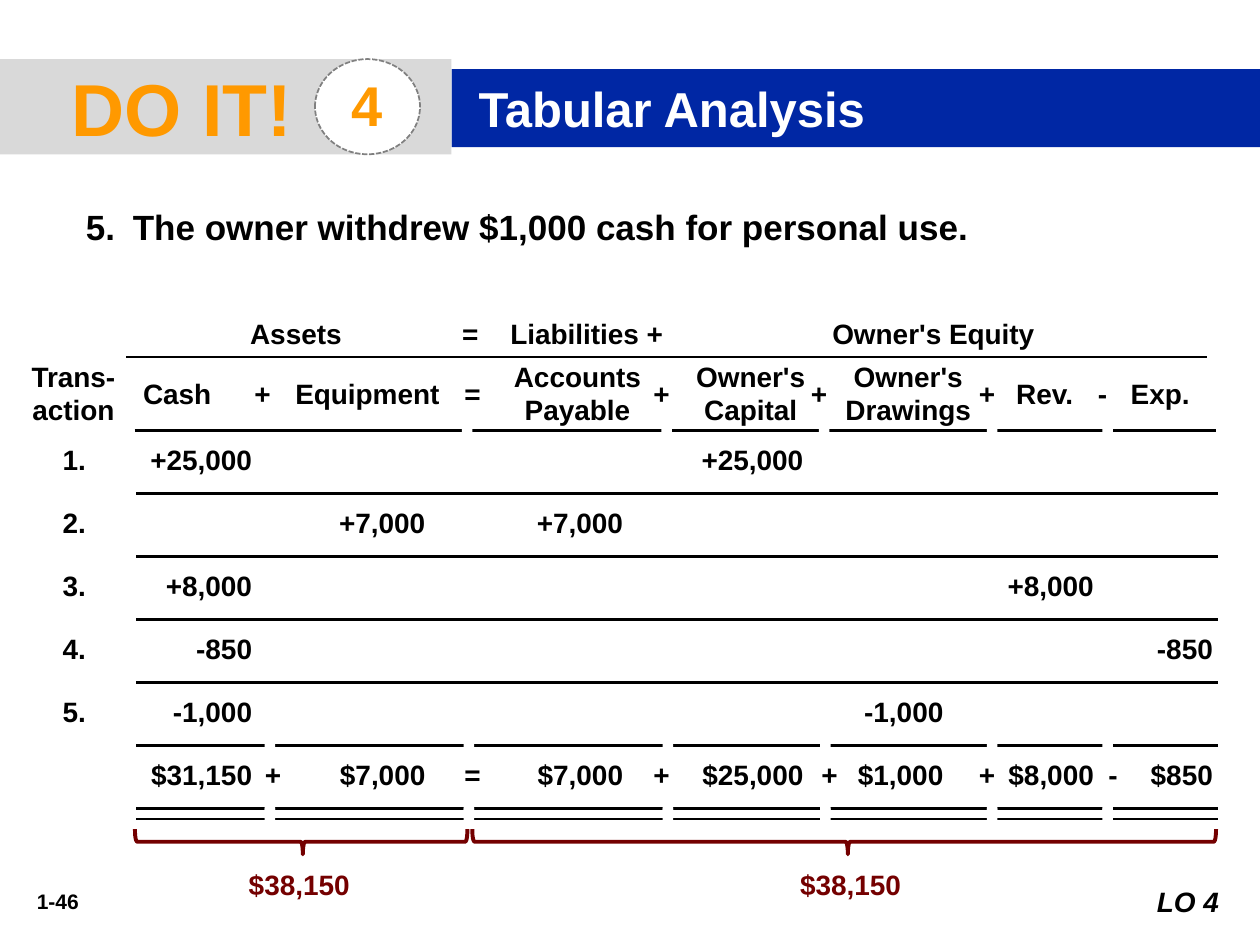
from dataclasses import dataclass

from lxml.etree import SubElement
from pptx import Presentation
from pptx.dml.color import RGBColor
from pptx.enum.dml import MSO_LINE
from pptx.enum.shapes import MSO_CONNECTOR, MSO_SHAPE
from pptx.enum.text import MSO_ANCHOR, MSO_AUTO_SIZE, PP_ALIGN
from pptx.oxml.ns import qn
from pptx.util import Pt

BLACK = RGBColor(0x00, 0x00, 0x00)
WHITE = RGBColor(0xFF, 0xFF, 0xFF)
GREY = RGBColor(0xD9, 0xD9, 0xD9)
DASH_GREY = RGBColor(0x80, 0x80, 0x80)
ORANGE = RGBColor(0xFF, 0x99, 0x00)
BLUE = RGBColor(0x00, 0x27, 0xA4)
MAROON = RGBColor(0x74, 0x00, 0x00)

INSETS = (7.2, 3.6, 7.2, 3.6)
HEAD_TOP, TOTAL_TOP, BAND_H = 204, 420, 41
FIRST_ROW, FIRST_RULE, ROW_STEP = 252.7, 282, 36
COLUMN_ENDS = [(x, "r") for x in (18, 113, 212, 325, 428, 508, 594, 662)]
GROUP_STOPS = [(90, "ctr"), (185, "l"), (212.5, "l"), (454.3, "ctr")]
HEAD_GAPS = (264, 378, 468, 564, 630)
TOTAL_GAPS = (151.2, 265, 378.7, 468.7, 564, 630)
SIGNS = "+=+++-"
HEAD_SIGNS = (144, 264, 372, 462, 558, 624)
TOTAL_SIGNS = (150, 264, 372, 468, 558, 630)


@dataclass
class Heading:
    text: str
    left: float
    width: float


@dataclass
class Rule:
    y: float
    left: float = 78
    right: float = 696
    gaps: tuple = ()


@dataclass
class Brace:
    left: float
    top: float
    length: float


HEADINGS = [
    Heading("Trans-\naction", 6, 72),
    Heading("Cash", 72, 58.5),
    Heading("Equipment", 156, 108),
    Heading("Accounts\nPayable", 276, 108),
    Heading("Owner's Capital", 378, 102),
    Heading("Owner's Drawings", 474, 90),
    Heading("Rev.", 564, 66),
    Heading("Exp.", 630, 66),
]
# Label, cash, equipment, payable, capital, drawings, revenue, expense
ROWS = [
    ("1.", "+25,000", "", "", "+25,000"),
    ("2.", "", "+7,000", "+7,000"),
    ("3.", "+8,000", "", "", "", "", "+8,000"),
    ("4.", "-850", "", "", "", "", "", "-850"),
    ("5.", "-1,000", "", "", "", "-1,000"),
    ("", "$31,150", "$7,000", "$7,000", "$25,000", "$1,000", "$8,000", "$850"),
]
RULES = [
    Rule(HEAD_TOP, 72, 690),
    Rule(246, 77, 695, HEAD_GAPS),
    *[Rule(FIRST_RULE + ROW_STEP * i) for i in range(4)],
    *[Rule(y, gaps=TOTAL_GAPS) for y in (426, 462, 468)],
]
BRACES = [Brace(164.9, 386, 190), Brace(475.2, 268.5, 425)]


def write(tf, text: str, *, size=16, color=BLACK, italic=False,
          align=PP_ALIGN.LEFT, anchor=MSO_ANCHOR.TOP, insets=INSETS,
          margin=0, indent=0, spacing=None, number=None, tabs=()) -> None:
    tf.word_wrap = True
    tf.auto_size = MSO_AUTO_SIZE.NONE
    tf.vertical_anchor = anchor
    (tf.margin_left, tf.margin_top,
     tf.margin_right, tf.margin_bottom) = (Pt(v) for v in insets)
    for i, line in enumerate(text.split("\n")):
        p = tf.add_paragraph() if i else tf.paragraphs[0]
        p.alignment = align
        pPr = p._p.get_or_add_pPr()
        if margin:
            pPr.set("marL", str(Pt(margin)))
            pPr.set("indent", str(Pt(indent)))
        if number:
            SubElement(pPr, qn("a:buFont"), typeface="+mj-lt")
            SubElement(pPr, qn("a:buAutoNum"), type="arabicPeriod", startAt=str(number))
        if tabs:
            stops = SubElement(pPr, qn("a:tabLst"))
            for pos, kind in tabs:
                SubElement(stops, qn("a:tab"), pos=str(Pt(pos)), algn=kind)
        if spacing:
            p.line_spacing = spacing
        r = p.add_run()
        r.text = line
        r.font.name = "Arial"
        r.font.size = Pt(size)
        r.font.bold = True
        r.font.italic = italic
        r.font.color.rgb = color


def add_text(s, left: float, top: float, width: float, height: float, text: str, **fmt):
    sp = s.shapes.add_textbox(Pt(left), Pt(top), Pt(width), Pt(height))
    write(sp.text_frame, text, **fmt)


def add_centered(s, left: float, top: float, width: float, text: str, **fmt):
    add_text(s, left, top, width, BAND_H, text, align=PP_ALIGN.CENTER,
             anchor=MSO_ANCHOR.MIDDLE, **fmt)


def add_shape(s, kind, left: float, top: float, width: float, height: float, fill=None):
    sp = s.shapes.add_shape(kind, Pt(left), Pt(top), Pt(width), Pt(height))
    sp.shadow.inherit = False
    sp.line.fill.background()
    if fill is None:
        sp.fill.background()
    else:
        sp.fill.solid()
        sp.fill.fore_color.rgb = fill
    return sp


def add_rule(s, rule: Rule) -> None:
    """Draw a horizontal rule and break it between columns."""
    c = s.shapes.add_connector(MSO_CONNECTOR.STRAIGHT, Pt(rule.left), Pt(rule.y),
                               Pt(rule.right), Pt(rule.y))
    c.line.color.rgb = BLACK
    c.line.width = Pt(1.5)
    SubElement(c._element.spPr, qn("a:effectLst"))
    for x in rule.gaps:
        add_shape(s, MSO_SHAPE.RECTANGLE, x, rule.y - 6, 6, 12, WHITE)


def add_brace(s, brace: Brace) -> None:
    sp = add_shape(s, MSO_SHAPE.LEFT_BRACE, brace.left, brace.top, 14.4, brace.length)
    sp.rotation = 270
    sp.adjustments[0], sp.adjustments[1] = 0.083, 0.505
    sp.line.color.rgb = MAROON
    sp.line.width = Pt(2.25)


def add_banner(s) -> None:
    sp = add_shape(s, MSO_SHAPE.RECTANGLE, 0, 33.8, 258, 54.4, GREY)
    write(sp.text_frame, "DO IT!", size=42, color=ORANGE, margin=41,
          anchor=MSO_ANCHOR.MIDDLE, insets=(0, 0, 7.2, 0))
    sp = add_shape(s, MSO_SHAPE.OVAL, 180, 33.8, 60, 54.4, WHITE)
    sp.line.color.rgb = DASH_GREY
    sp.line.width = Pt(1)
    sp.line.dash_style = MSO_LINE.SQUARE_DOT
    write(sp.text_frame, "4", size=32, color=ORANGE, align=PP_ALIGN.CENTER,
          anchor=MSO_ANCHOR.MIDDLE, insets=(7.2, 0, 7.2, 3.6))
    t = s.shapes.title
    t.left, t.top, t.width, t.height = Pt(258), Pt(39.5), Pt(462), Pt(44.6)
    t.fill.solid()
    t.fill.fore_color.rgb = BLUE
    write(t.text_frame, "Tabular Analysis", size=28, color=WHITE, margin=9,
          anchor=MSO_ANCHOR.MIDDLE, insets=(6.5, 3.6, 6.5, 3.6))


def main() -> None:
    prs = Presentation()
    prs.slide_width, prs.slide_height = Pt(720), Pt(540)
    s = prs.slides.add_slide(prs.slide_layouts[5])
    add_banner(s)
    add_text(s, 42, 108, 661, 37.5, "The owner withdrew $1,000 cash for personal use.",
             size=20, margin=26.8, indent=-26.8, spacing=1.25, number=5)

    for rule in RULES:
        add_rule(s, rule)
    add_text(s, 72, 180, 624, 21, "\tAssets\t=\tLiabilities +\tOwner's Equity",
             anchor=MSO_ANCHOR.MIDDLE, tabs=GROUP_STOPS)
    for h in HEADINGS:
        add_centered(s, h.left, HEAD_TOP, h.width, h.text)
    for i, row in enumerate(ROWS):
        add_text(s, 24, FIRST_ROW + ROW_STEP * i, 684, 23, "\t" + "\t".join(row),
                 insets=(7.2, 0, 7.2, 3.6), tabs=COLUMN_ENDS)
    for sign, head_x, total_x in zip(SIGNS, HEAD_SIGNS, TOTAL_SIGNS):
        add_centered(s, head_x, HEAD_TOP, 12, sign, insets=(0, 3.6, 0, 3.6))
        add_centered(s, total_x, TOTAL_TOP, 12, sign, insets=(0, 7.2, 0, 3.6))

    for brace in BRACES:
        add_brace(s, brace)
    for left, width in ((120, 102), (432, 108)):
        add_text(s, left, 492, width, 26.6, "$38,150", color=MAROON, align=PP_ALIGN.CENTER)

    add_text(s, 6, 504, 54, 21.6, "1-46", size=12, align=PP_ALIGN.CENTER)
    sp = add_shape(s, MSO_SHAPE.RECTANGLE, 648, 502, 60, 26.6, WHITE)
    write(sp.text_frame, "LO 4", italic=True, align=PP_ALIGN.RIGHT,
          insets=(7.2, 3.6, 11.5, 3.6))
    prs.save("out.pptx")


if __name__ == "__main__":
    main()
